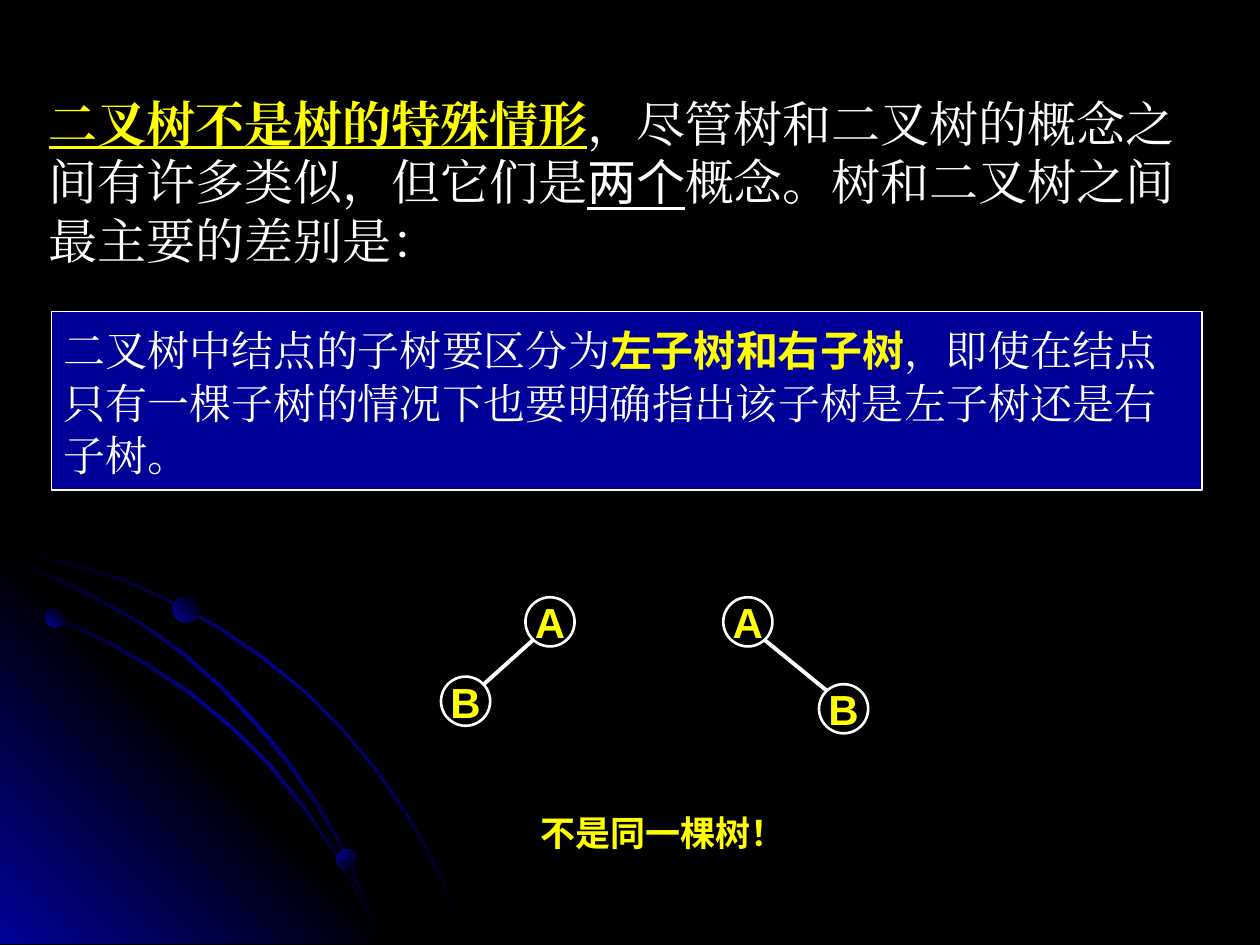
from dataclasses import dataclass

from lxml import etree
from pptx import Presentation
from pptx.dml.color import RGBColor
from pptx.enum.shapes import MSO_CONNECTOR, MSO_SHAPE
from pptx.enum.text import MSO_ANCHOR, PP_ALIGN
from pptx.oxml.ns import qn
from pptx.util import Inches, Pt

LINE = MSO_CONNECTOR.STRAIGHT
OVAL, RECTANGLE = MSO_SHAPE.OVAL, MSO_SHAPE.RECTANGLE
MIDDLE, TOP = MSO_ANCHOR.MIDDLE, MSO_ANCHOR.TOP
CENTER, LEFT = PP_ALIGN.CENTER, PP_ALIGN.LEFT


@dataclass(frozen=True)
class Theme:
    black: str = "000000"
    glow: str = "010199"
    panel: str = "000099"
    white: str = "FFFFFF"
    yellow: str = "FFFF00"
    serif: str = "Times New Roman"
    sans: str = "Arial"
    chinese: str = "Noto Sans CJK SC"
    intro_size: int = 28
    body_size: int = 24
    caption_size: int = 20


THEME = Theme()


@dataclass(frozen=True)
class Span:
    text: str
    size: int
    color: str = THEME.white
    font: str = THEME.serif
    bold: bool = False
    underline: bool = False


@dataclass(frozen=True)
class Node:
    label: str
    left: float
    top: float


@dataclass(frozen=True)
class Edge:
    start: tuple[float, float]
    end: tuple[float, float]


@dataclass(frozen=True)
class Planet:
    left: float
    top: float
    size: float
    angle: int


NODE_SIZE = 0.39
NODES = [Node("A", 4.17, 4.74), Node("B", 3.5, 5.37),
         Node("A", 5.74, 4.74), Node("B", 6.5, 5.43)]
EDGES = [Edge((4.23, 5.08), (3.84, 5.43)), Edge((6.07, 5.08), (6.56, 5.48))]
PLANETS = [Planet(0.36, 4.83, 0.15, 315), Planet(2.67, 6.74, 0.16, 45),
           Planet(1.37, 4.73, 0.21, 315)]

# Outlines of the orbits and of the glowing corner
OUTER_ORBIT = [
    (0.57, 4.47), (0.28, 4.41), (0, 4.35), (0, 4.38), (0.28, 4.43), (0.56, 4.49),
    (0.97, 4.61), (1.35, 4.78), (1.73, 4.99), (2.08, 5.23), (2.41, 5.49),
    (2.71, 5.79), (2.98, 6.12), (3.23, 6.49), (3.37, 6.73), (3.5, 6.98),
    (3.6, 7.23), (3.7, 7.49), (3.72, 7.49), (3.62, 7.23), (3.52, 6.98),
    (3.39, 6.73), (3.25, 6.48), (3, 6.11), (2.72, 5.78), (2.42, 5.48),
    (2.09, 5.21), (1.74, 4.97), (1.36, 4.77), (0.98, 4.59)]
CORNER = [(3.22, 7.49), (0, 7.49), (0, 4.27)]
INNER_ORBIT = [
    (2.85, 7.14), (2.94, 7.32), (3.01, 7.49), (3.03, 7.49), (2.96, 7.3),
    (2.86, 7.12), (2.66, 6.76), (2.42, 6.4), (2.15, 6.06), (1.84, 5.76),
    (1.52, 5.49), (1.17, 5.26), (0.79, 5.05), (0.41, 4.88), (0, 4.75), (0, 4.77),
    (0.39, 4.9), (0.77, 5.07), (1.15, 5.28), (1.5, 5.51), (1.83, 5.78),
    (2.13, 6.08), (2.4, 6.41), (2.65, 6.77)]
MIDDLE_ORBIT = [
    (0, 4.42), (0, 4.44), (0.36, 4.57), (0.74, 4.75), (1.09, 4.94), (1.42, 5.18),
    (1.73, 5.44), (2.02, 5.75), (2.27, 6.05), (2.52, 6.41), (2.67, 6.67),
    (2.8, 6.94), (2.92, 7.22), (3.01, 7.49), (3.03, 7.49), (2.94, 7.2),
    (2.82, 6.93), (2.69, 6.65), (2.54, 6.39), (2.29, 6.03), (2.04, 5.73),
    (1.75, 5.43), (1.44, 5.16), (1.11, 4.93), (0.76, 4.73), (0.39, 4.55)]


def rgb(color: str) -> RGBColor:
    return RGBColor.from_string(color)


def fill_gradient(shape, colors: list[str], angle: int) -> None:
    """Spread the colours evenly along a clockwise angle, with no outline."""
    shape.shadow.inherit = False
    shape.line.fill.background()
    shape.fill.gradient()
    gradient = shape._element.spPr.find(qn("a:gradFill"))
    for child in list(gradient):
        gradient.remove(child)
    stops = etree.SubElement(gradient, qn("a:gsLst"))
    for index, color in enumerate(colors):
        position = 100000 * index // (len(colors) - 1)
        stop = etree.SubElement(stops, qn("a:gs"), pos=str(position))
        etree.SubElement(stop, qn("a:srgbClr"), val=color)
    etree.SubElement(gradient, qn("a:lin"), ang=str(angle * 60000), scaled="0")


def draw_outline(page, points: list[tuple[float, float]], colors: list[str], angle: int) -> None:
    start, *rest = [(Inches(x), Inches(y)) for x, y in points]
    builder = page.shapes.build_freeform(*start)
    builder.add_line_segments(rest, close=True)
    fill_gradient(builder.convert_to_shape(), colors, angle)


def draw_planet(page, planet: Planet) -> None:
    shape = page.shapes.add_shape(OVAL, Inches(planet.left), Inches(planet.top),
                                  Inches(planet.size), Inches(planet.size))
    fill_gradient(shape, [THEME.glow, THEME.black], planet.angle)


def write_spans(para, spans: list[Span], align=LEFT) -> None:
    para.alignment = align
    for span in spans:
        run = para.add_run()
        run.text = span.text
        font = run.font
        font.size, font.name = Pt(span.size), span.font
        font.bold, font.underline = span.bold, span.underline
        font.color.rgb = rgb(span.color)
        etree.SubElement(run._r.get_or_add_rPr(), qn("a:ea"), typeface=span.font)


def add_text(page, left: float, top: float, width: float, height: float,
             spans: list[Span], align=LEFT) -> None:
    box = page.shapes.add_textbox(Inches(left), Inches(top), Inches(width), Inches(height))
    box.text_frame.word_wrap = True
    box.text_frame.vertical_anchor = TOP
    write_spans(box.text_frame.paragraphs[0], spans, align)


def add_outlined(page, kind, left: float, top: float, width: float, height: float,
                 line_width: float):
    shape = page.shapes.add_shape(kind, Inches(left), Inches(top), Inches(width), Inches(height))
    shape.shadow.inherit = False
    shape.fill.background()
    shape.line.color.rgb = rgb(THEME.white)
    shape.line.width = Pt(line_width)
    shape.text_frame.word_wrap = False
    shape.text_frame.vertical_anchor = MIDDLE
    return shape


def draw_node(page, node: Node) -> None:
    shape = add_outlined(page, OVAL, node.left, node.top, NODE_SIZE, NODE_SIZE, 1.5)
    label = Span(node.label, THEME.body_size, THEME.yellow, THEME.sans, bold=True)
    write_spans(shape.text_frame.paragraphs[0], [label], CENTER)


def draw_edge(page, edge: Edge) -> None:
    line = page.shapes.add_connector(LINE, *map(Inches, edge.start + edge.end))
    line.line.color.rgb = rgb(THEME.white)
    line.line.width = Pt(2.25)
    etree.SubElement(line._element.spPr, qn("a:effectLst"))


def draw_panel(page, lines: list[list[Span]]) -> None:
    panel = add_outlined(page, RECTANGLE, 0.41, 2.47, 9.13, 1.42, 0.75)
    panel.fill.solid()
    panel.fill.fore_color.rgb = rgb(THEME.panel)
    frame = panel.text_frame
    for index, spans in enumerate(lines):
        para = frame.add_paragraph() if index else frame.paragraphs[0]
        if index:
            para.line_spacing, para.space_before = 0.6, Pt(12)
        write_spans(para, spans)


def main() -> None:
    deck = Presentation()
    deck.slide_width, deck.slide_height = Inches(10), Inches(7.5)
    page = deck.slides.add_slide(deck.slide_layouts[6])
    page.background.fill.solid()
    page.background.fill.fore_color.rgb = rgb(THEME.black)

    # Night-sky decoration
    orbit_colors = [THEME.black, THEME.glow, THEME.black]
    draw_outline(page, OUTER_ORBIT, orbit_colors, 45)
    draw_outline(page, CORNER, [THEME.glow, THEME.black, THEME.glow], 315)
    for orbit in (INNER_ORBIT, MIDDLE_ORBIT):
        draw_outline(page, orbit, orbit_colors, 45)
    for planet in PLANETS:
        draw_planet(page, planet)

    # Introduction
    size = THEME.intro_size
    add_text(page, 0.29, 0.69, 9.37, 4.34, [
        Span("二叉树不是树的特殊情形", size, THEME.yellow, bold=True, underline=True),
        Span("，尽管树和二叉树的概念之间有许多类似，但它们是", size),
        Span("两个", size, font=THEME.chinese, underline=True),
        Span("概念。树和二叉树之间最主要的差别是：", size)])

    # Key difference
    size = THEME.body_size
    draw_panel(page, [
        [Span("二叉树中结点的子树要区分为", size),
         Span("左子树和右子树", size, THEME.yellow, THEME.chinese, bold=True),
         Span("，即使在结点", size)],
        [Span("只有一棵子树的情况下也要明确指出该子树是左子树还是右", size)],
        [Span("子树。", size)]])

    # Two example trees and their caption
    for node in NODES:
        draw_node(page, node)
    for edge in EDGES:
        draw_edge(page, edge)
    add_text(page, 4.09, 6.39, 2.35, 0.44,
             [Span("不是同一棵树！", THEME.caption_size, THEME.yellow, THEME.sans, bold=True)],
             CENTER)

    deck.save("out.pptx")


if __name__ == "__main__":
    main()
